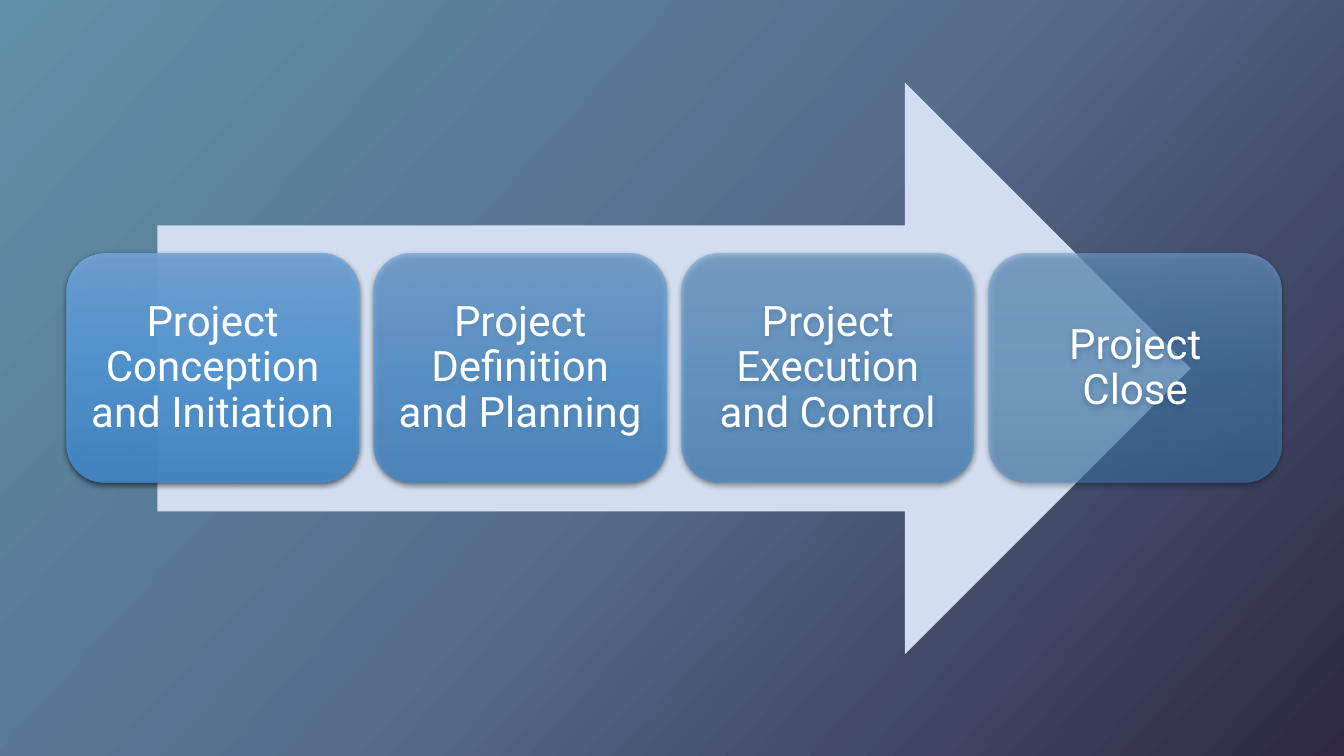
from lxml.etree import SubElement
from pptx import Presentation
from pptx.dml.color import RGBColor
from pptx.enum.shapes import MSO_SHAPE
from pptx.enum.text import MSO_ANCHOR, PP_ALIGN
from pptx.oxml.ns import qn
from pptx.util import Inches, Pt

FONT = "Roboto"
PHASE_COLORS = ("73A7DB", "559BDB", "458ACA")
# Phase name and opacity (percent) of each gradient stop
PHASES = [
    ("Project Conception and Initiation", (90, 90, 90)),
    ("Project Definition and Planning", (77, 77, 77)),
    ("Project Execution and Control", (63, 63, 63)),
    ("Project Close", (63, 50, 50)),
]
LEFT, TOP, WIDTH, HEIGHT, GAP = 0.66, 2.52, 2.9, 2.27, 0.15


def color(hex_code):
    return RGBColor.from_string(hex_code)


def add_color(parent, hex_code, opacity):
    node = SubElement(parent, qn("a:srgbClr"), val=hex_code)
    if opacity < 100:
        SubElement(node, qn("a:alpha"), val=str(opacity * 1000))


def set_gradient(fill, owner, colors, opacities, angle):
    """Spread the colours evenly along a linear gradient."""
    fill.gradient()
    gradient = owner.find(".//" + qn("a:gradFill"))
    stops = gradient.find(qn("a:gsLst"))
    for stop in list(stops):
        stops.remove(stop)
    for index, (hex_code, opacity) in enumerate(zip(colors, opacities)):
        position = index * 100000 // (len(colors) - 1)
        stop = SubElement(stops, qn("a:gs"), pos=str(position))
        add_color(stop, hex_code, opacity)
    gradient.find(qn("a:lin")).set("ang", str(angle * 60000))


def add_shadow(shape):
    effects = shape.element.spPr.find(qn("a:effectLst"))
    shadow = SubElement(effects, qn("a:outerShdw"), blurRad=str(Pt(4.5)),
                        dist=str(Pt(1.5)), dir=str(90 * 60000),
                        algn="ctr", rotWithShape="0")
    add_color(shadow, "000000", 63)


def add_shape(page, kind, left, top, width, height):
    shape = page.shapes.add_shape(kind, Inches(left), Inches(top),
                                  Inches(width), Inches(height))
    shape.shadow.inherit = False
    shape.line.fill.background()
    return shape


def add_arrow(page):
    arrow = add_shape(page, MSO_SHAPE.RIGHT_ARROW, 1.56, 0.82, 10.25, 5.67)
    arrow.fill.solid()
    arrow.fill.fore_color.rgb = color("D2DEEF")


def add_phase(page, left, name, opacities):
    box = add_shape(page, MSO_SHAPE.ROUNDED_RECTANGLE, left, TOP, WIDTH, HEIGHT)
    set_gradient(box.fill, box.element, PHASE_COLORS, opacities, 90)
    add_shadow(box)

    frame = box.text_frame
    frame.word_wrap = True
    frame.vertical_anchor = MSO_ANCHOR.MIDDLE
    frame.margin_left = frame.margin_right = Inches(0.13)
    frame.margin_top = frame.margin_bottom = Inches(0.12)
    para = frame.paragraphs[0]
    para.text = name
    para.alignment = PP_ALIGN.CENTER
    para.line_spacing = 0.9
    para.font.name = FONT
    para.font.size = Pt(30)
    para.font.color.rgb = color("FFFFFF")


def main():
    deck = Presentation()
    deck.slide_width, deck.slide_height = Inches(13.33), Inches(7.5)
    page = deck.slides.add_slide(deck.slide_layouts[6])

    # Background
    set_gradient(page.background.fill, page.element,
                 ("6090A7", "566D8C", "2E2844"), (100, 100, 100), 42)

    # Process arrow with the phases on top
    add_arrow(page)
    for index, (name, opacities) in enumerate(PHASES):
        add_phase(page, LEFT + index * (WIDTH + GAP), name, opacities)

    deck.save("out.pptx")


main()
